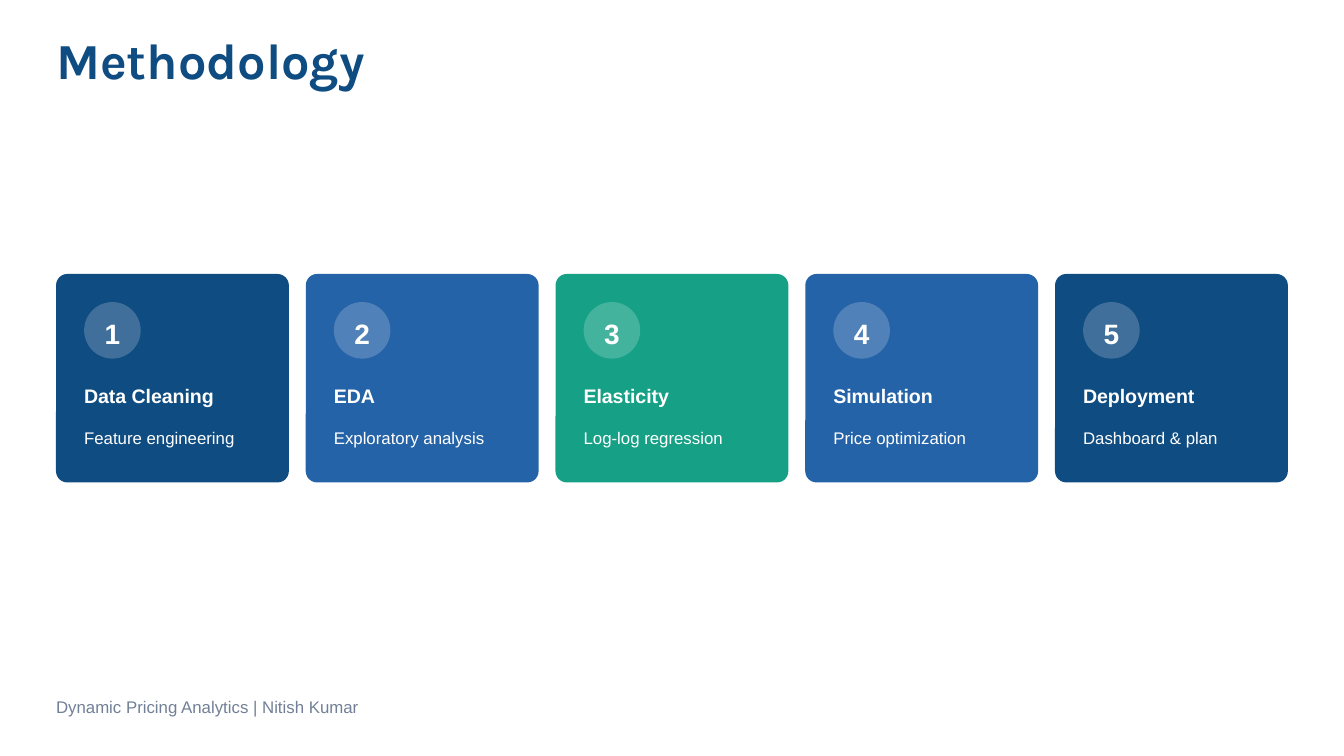
from lxml.etree import SubElement
from pptx import Presentation
from pptx.dml.color import RGBColor
from pptx.enum.shapes import MSO_SHAPE as Preset
from pptx.enum.text import MSO_ANCHOR as Anchor, MSO_AUTO_SIZE as AutoSize, PP_ALIGN as Align
from pptx.oxml.ns import qn
from pptx.util import Cm, Pt

NAVY = RGBColor(0x0F, 0x4C, 0x81)
BLUE = RGBColor(0x25, 0x63, 0xA8)
GREEN = RGBColor(0x16, 0xA0, 0x85)
GREY = RGBColor(0x71, 0x80, 0x96)
WHITE = RGBColor(0xFF, 0xFF, 0xFF)

MARGIN = 1.06
CARD_TOP, CARD_WIDTH, CARD_HEIGHT = 5.18, 4.4, 3.94
CARD_PITCH = 4.72
PADDING = 0.53
BADGE_SIZE = 1.07

STEPS = [
    ("Data Cleaning", "Feature engineering", NAVY),
    ("EDA", "Exploratory analysis", BLUE),
    ("Elasticity", "Log-log regression", GREEN),
    ("Simulation", "Price optimization", BLUE),
    ("Deployment", "Dashboard & plan", NAVY),
]


def write(box, text, *, size, color, leading, font="Arial", bold=False,
          before=0, after=0, align=Align.LEFT):
    frame = box.text_frame
    frame.word_wrap = True
    frame.auto_size = AutoSize.NONE
    frame.vertical_anchor = Anchor.TOP
    frame.margin_left = frame.margin_right = 0
    frame.margin_top = frame.margin_bottom = 0
    para = frame.paragraphs[0]
    para.alignment = align
    para.line_spacing = Pt(leading)
    para.space_before, para.space_after = Pt(before), Pt(after)
    span = para.add_run()
    span.text = text
    span.font.name = font
    span.font.size = Pt(size)
    span.font.bold = bold
    span.font.color.rgb = color


class SlideBuilder:
    """Holds the text style on cards and the current page."""

    card_text = {"color": WHITE, "before": 3}

    def __init__(self, deck):
        self.page = deck.slides.add_slide(deck.slide_layouts[5])

    def title(self, text):
        box = self.page.shapes.title
        box.left, box.top = Cm(MARGIN), Cm(0.64)
        box.width, box.height = Cm(11.91), Cm(1.07)
        write(box, text, size=27, color=NAVY, leading=30, font="Karla", bold=True)

    def text(self, text, left, top, width, height, **style):
        box = self.page.shapes.add_textbox(Cm(left), Cm(top), Cm(width), Cm(height))
        write(box, text, **style)

    def panel(self, preset, left, top, width, height, color):
        shape = self.page.shapes.add_shape(
            preset, Cm(left), Cm(top), Cm(width), Cm(height))
        shape.shadow.inherit = False
        shape.fill.solid()
        shape.fill.fore_color.rgb = color
        shape.line.fill.background()
        return shape

    def badge(self, number, left, top):
        circle = self.panel(Preset.OVAL, left, top, BADGE_SIZE, BADGE_SIZE, WHITE)
        tint = circle.fill._xPr.find(qn("a:solidFill"))[0]
        SubElement(tint, qn("a:alpha"), val="20000")
        width = 0.31
        self.text(str(number), left + (BADGE_SIZE - width) / 2, top + 0.16, width, 0.74,
                  size=15, color=WHITE, leading=21, bold=True, align=Align.CENTER)

    def card(self, number, heading, detail, color):
        left = MARGIN + (number - 1) * CARD_PITCH
        panel = self.panel(Preset.ROUNDED_RECTANGLE, left, CARD_TOP,
                           CARD_WIDTH, CARD_HEIGHT, color)
        panel.adjustments[0] = 0.054
        inner, width = left + PADDING, 3.4
        self.badge(number, inner, CARD_TOP + PADDING)
        self.text(heading, inner, CARD_TOP + 2.01, width, 0.51, size=10.5,
                  leading=14.7, bold=True, after=6, **self.card_text)
        self.text(detail, inner, CARD_TOP + 2.85, width, 0.43, size=9,
                  leading=12.6, after=3, **self.card_text)


def main():
    deck = Presentation()
    deck.slide_width, deck.slide_height = Cm(25.4), Cm(14.29)
    slide = SlideBuilder(deck)
    slide.title("Methodology")
    for number, step in enumerate(STEPS, start=1):
        slide.card(number, *step)
    slide.text("Dynamic Pricing Analytics | Nitish Kumar", MARGIN, 13.13, 23.75, 0.43,
               size=9, color=GREY, leading=12, before=3, after=3)
    deck.save("out.pptx")


if __name__ == "__main__":
    main()
